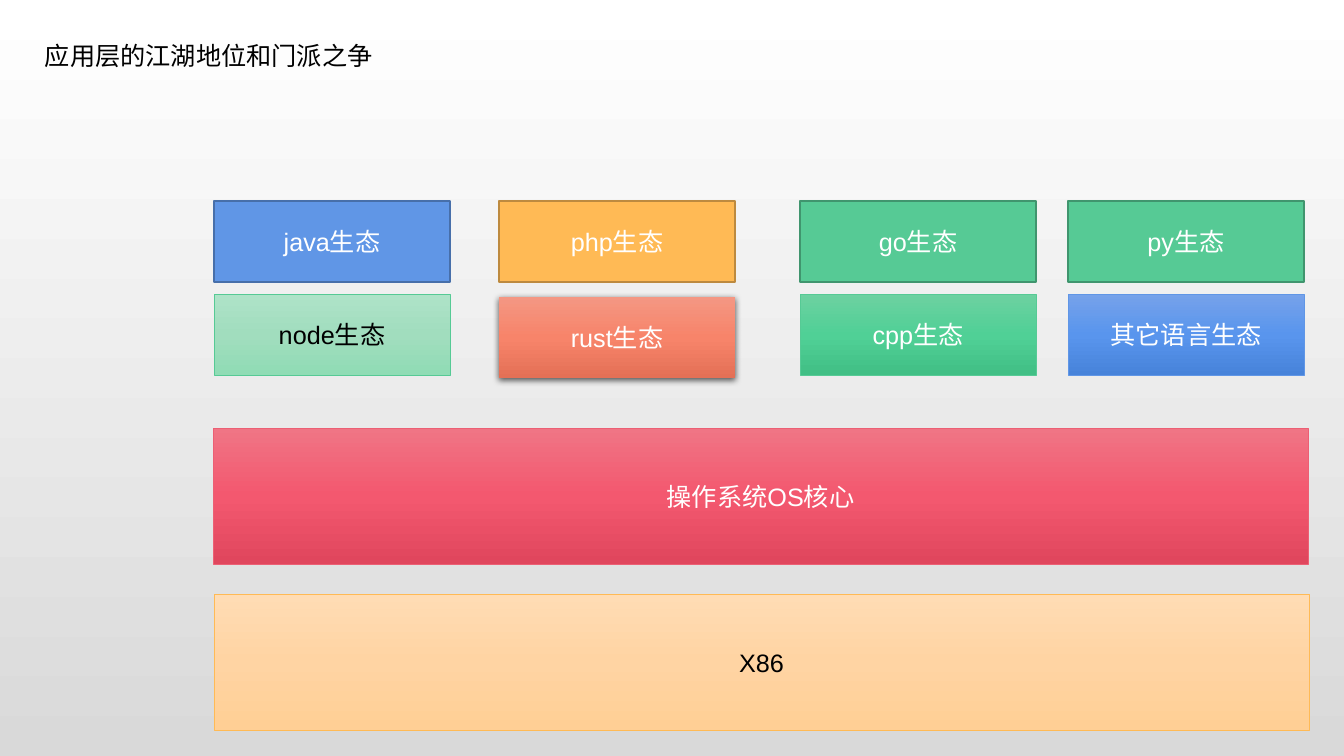
from copy import deepcopy
from dataclasses import dataclass
from typing import Optional

from lxml.etree import fromstring
from pptx import Presentation
from pptx.dml.color import RGBColor
from pptx.enum.shapes import MSO_SHAPE
from pptx.enum.text import MSO_ANCHOR, MSO_AUTO_SIZE, PP_ALIGN
from pptx.util import Emu, Pt

SCALE = 914400 / 100.8

WHITE = RGBColor(0xFF, 0xFF, 0xFF)
BLACK = RGBColor(0x00, 0x00, 0x00)
GREY = RGBColor(0xD9, 0xD9, 0xD9)
BLUE = RGBColor(0x60, 0x96, 0xE6)
NAVY = RGBColor(0x47, 0x6F, 0xAA)
GOLD = RGBColor(0xFF, 0xBA, 0x55)
BROWN = RGBColor(0xBD, 0x8A, 0x3F)
GREEN = RGBColor(0x56, 0xCA, 0x95)
PINE = RGBColor(0x40, 0x95, 0x6E)
RED = RGBColor(0xEC, 0x5F, 0x74)

MINTS = (RGBColor(0xAE, 0xE3, 0xC8), RGBColor(0xA1, 0xDD, 0xBE), RGBColor(0x90, 0xDC, 0xB5))
CORALS = (RGBColor(0xF4, 0x97, 0x83), RGBColor(0xF7, 0x84, 0x6A), RGBColor(0xE4, 0x70, 0x56))
GREENS = (RGBColor(0x6D, 0xD1, 0xA1), RGBColor(0x50, 0xD0, 0x96), RGBColor(0x41, 0xBF, 0x85))
BLUES = (RGBColor(0x76, 0xA2, 0xEA), RGBColor(0x59, 0x95, 0xED), RGBColor(0x47, 0x83, 0xDA))
REDS = (RGBColor(0xF0, 0x75, 0x85), RGBColor(0xF3, 0x58, 0x6F), RGBColor(0xE0, 0x46, 0x5D))
SANDS = (RGBColor(0xFF, 0xDC, 0xB4), RGBColor(0xFF, 0xD4, 0xA3), RGBColor(0xFF, 0xCF, 0x95))

COLS = (214, 499, 800, 1068)
TOP, LOW = 201, 294
TILE = (236, 81)
BAR = (1095, 136)

SHADOW = (
    '<a:outerShdw xmlns:a="http://schemas.openxmlformats.org/drawingml/2006/main" '
    'blurRad="57150" dist="19050" dir="5400000" algn="ctr" rotWithShape="0">'
    '<a:srgbClr val="000000"><a:alpha val="63000"/></a:srgbClr></a:outerShdw>'
)


@dataclass
class Block:
    text: str
    left: int
    top: int
    size: tuple[int, int]
    fills: tuple[RGBColor, ...]
    edge: Optional[RGBColor] = None
    ink: RGBColor = WHITE
    shade: bool = False


BLOCKS = (
    Block("java生态", COLS[0], TOP, TILE, (BLUE,), NAVY),
    Block("php生态", COLS[1], TOP, TILE, (GOLD,), BROWN),
    Block("go生态", COLS[2], TOP, TILE, (GREEN,), PINE),
    Block("py生态", COLS[3], TOP, TILE, (GREEN,), PINE),
    Block("node生态", COLS[0], LOW, TILE, MINTS, GREEN, BLACK),
    Block("rust生态", COLS[1], LOW + 3, TILE, CORALS, shade=True),
    Block("cpp生态", COLS[2], LOW, TILE, GREENS, GREEN),
    Block("其它语言生态", COLS[3], LOW, TILE, BLUES, BLUE),
    Block("操作系统OS核心", 213, 428, BAR, REDS, RED),
    Block("X86", 214, 594, BAR, SANDS, GOLD, BLACK),
)


def px(count: int) -> Emu:
    return Emu(round(count * SCALE))


def blend(owner, fill, tints: tuple[RGBColor, ...]) -> None:
    fill.gradient()
    fill.gradient_angle = 270
    stops = owner.element.xpath(".//a:gsLst")[0]
    for _ in tints[2:]:
        stops.append(deepcopy(stops[0]))
    for index, (stop, tint) in enumerate(zip(fill.gradient_stops, tints)):
        stop.position = index / (len(tints) - 1)
        stop.color.rgb = tint


def write(frame, text: str, *, ink: RGBColor, align: PP_ALIGN, anchor: MSO_ANCHOR) -> None:
    frame.word_wrap = True
    frame.vertical_anchor = anchor
    line = frame.paragraphs[0]
    line.alignment = align
    run = line.add_run()
    run.text = text
    run.font.name = "Arial"
    run.font.size = Pt(18)
    run.font.color.rgb = ink


def draw(slide, block: Block) -> None:
    width, height = block.size
    shape = slide.shapes.add_shape(
        MSO_SHAPE.RECTANGLE, px(block.left), px(block.top), px(width), px(height)
    )
    solid = len(block.fills) == 1
    if solid:
        shape.fill.solid()
        shape.fill.fore_color.rgb = block.fills[0]
    else:
        blend(shape, shape.fill, block.fills)
    if block.edge is None:
        shape.line.fill.background()
    else:
        shape.line.color.rgb = block.edge
        shape.line.width = Pt(1 if solid else 0.5)
    shape.shadow.inherit = False
    if block.shade:
        shape.element.xpath("./p:spPr/a:effectLst")[0].append(fromstring(SHADOW))
    write(shape.text_frame, block.text, ink=block.ink,
          align=PP_ALIGN.CENTER, anchor=MSO_ANCHOR.MIDDLE)


def main() -> None:
    deck = Presentation()
    deck.slide_width, deck.slide_height = px(1344), px(756)
    slide = deck.slides.add_slide(deck.slide_layouts[6])
    blend(slide, slide.background.fill, (WHITE, GREY))
    title = slide.shapes.add_textbox(px(35), px(35), px(417), px(40)).text_frame
    write(title, "应用层的江湖地位和门派之争", ink=BLACK,
          align=PP_ALIGN.LEFT, anchor=MSO_ANCHOR.TOP)
    title.auto_size = MSO_AUTO_SIZE.SHAPE_TO_FIT_TEXT
    for block in BLOCKS:
        draw(slide, block)
    deck.save("out.pptx")


if __name__ == "__main__":
    main()
